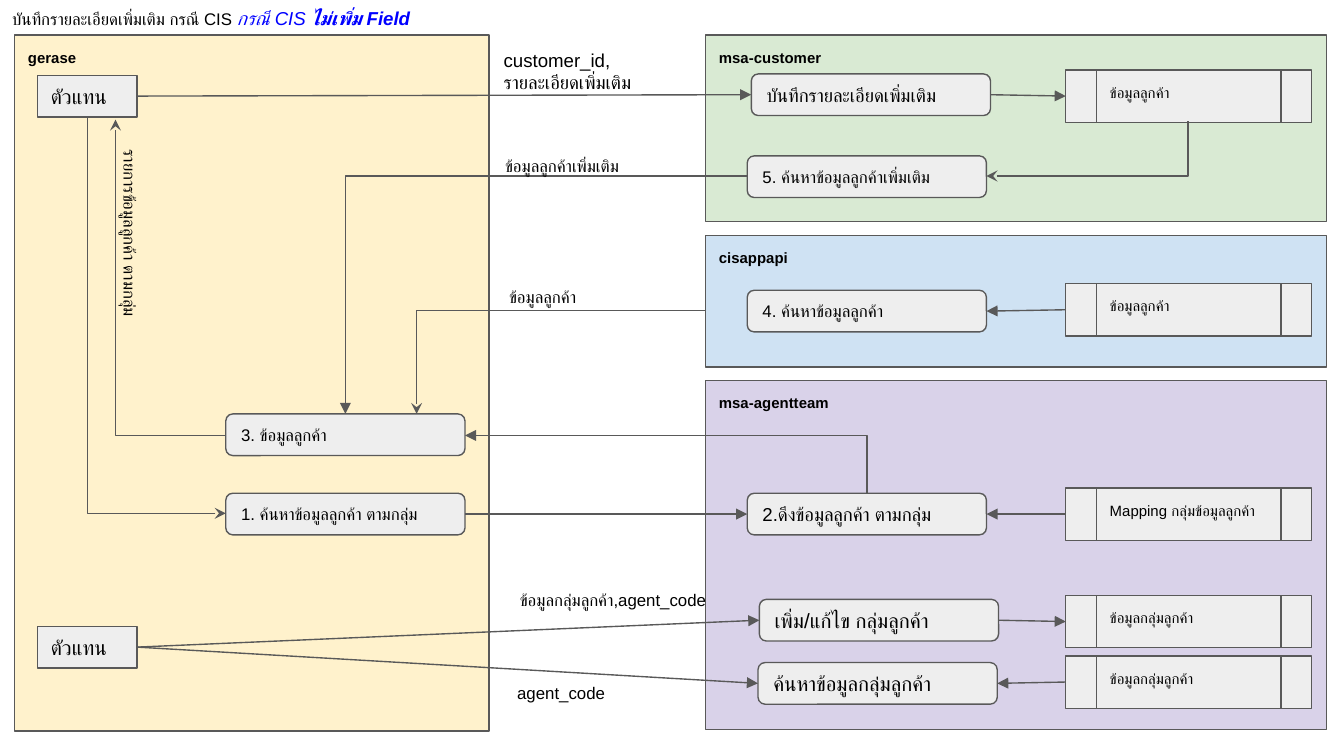
from lxml.etree import SubElement
from pptx import Presentation
from pptx.dml.color import RGBColor
from pptx.enum.shapes import MSO_CONNECTOR as Connector, MSO_SHAPE as Shape
from pptx.enum.text import MSO_ANCHOR as Anchor, MSO_AUTO_SIZE as AutoSize, PP_ALIGN as Align
from pptx.oxml.ns import qn
from pptx.util import Inches, Pt

BLACK = RGBColor(0x00, 0x00, 0x00)
BLUE = RGBColor(0x00, 0x00, 0xFF)
GREY = RGBColor(0xEE, 0xEE, 0xEE)
OUTLINE = RGBColor(0x59, 0x59, 0x59)
YELLOW = RGBColor(0xFF, 0xF2, 0xCC)
GREEN = RGBColor(0xD9, 0xEA, 0xD3)
PURPLE = RGBColor(0xD9, 0xD2, 0xE9)
SKY = RGBColor(0xCF, 0xE2, 0xF3)
FONT = "Arial"
TOP, LEFT, BOTTOM, RIGHT = range(4)

KINDS = {
    "actor": (Shape.FLOWCHART_PROCESS, 0.74, 0.31, Anchor.MIDDLE),
    "step": (Shape.ROUNDED_RECTANGLE, 1.78, 0.31, Anchor.MIDDLE),
    "store": (Shape.FLOWCHART_PREDEFINED_PROCESS, 1.83, 0.39, Anchor.TOP),
}
PANELS = [
    ("gerase", (0.11, 0.26, 3.53, 5.18), YELLOW),
    ("msa-customer", (5.25, 0.26, 4.62, 1.39), GREEN),
    ("msa-agentteam", (5.25, 2.83, 4.62, 2.6), PURPLE),
    ("cisappapi", (5.25, 1.75, 4.62, 0.98), SKY),
]
BOXES = {
    "save agent": ("actor", 0.28, 0.56, "ตัวแทน", 11),
    "group agent": ("actor", 0.28, 4.66, "ตัวแทน", 11),
    "find by group": ("step", 1.68, 3.67, "1. ค้นหาข้อมูลลูกค้า ตามกลุ่ม", 9),
    "fetch by group": ("step", 5.56, 3.67, "2.ดึงข้อมูลลูกค้า ตามกลุ่ม", 10),
    "customer": ("step", 1.68, 3.08, "3. ข้อมูลลูกค้า", 9),
    "find customer": ("step", 5.56, 2.16, "4. ค้นหาข้อมูลลูกค้า", 9),
    "find details": ("step", 5.56, 1.16, "5. ค้นหาข้อมูลลูกค้าเพิ่มเติม", 9),
    "save details": ("step", 5.59, 0.55, "บันทึกรายละเอียดเพิ่มเติม", 10),
    "edit group": ("step", 5.65, 4.46, "เพิ่ม/แก้ไข กลุ่มลูกค้า", 11),
    "find group": ("step", 5.64, 4.93, "ค้นหาข้อมูลกลุ่มลูกค้า", 11),
    "details store": ("store", 7.93, 0.52, "ข้อมูลลูกค้า", 8),
    "customer store": ("store", 7.93, 2.11, "ข้อมูลลูกค้า", 8),
    "mapping store": ("store", 7.93, 3.63, "Mapping กลุ่มข้อมูลลูกค้า", 8),
    "edit store": ("store", 7.93, 4.43, "ข้อมูลกลุ่มลูกค้า", 8),
    "find store": ("store", 7.93, 4.88, "ข้อมูลกลุ่มลูกค้า", 8),
}
FLOWS = [
    ("save agent", "save details"),
    ("save details", "details store"),
    ("customer store", "find customer"),
    ("find by group", "fetch by group"),
    ("mapping store", "fetch by group"),
    ("group agent", "edit group"),
    ("group agent", "find group"),
    ("edit group", "edit store"),
    ("find store", "find group"),
]
CUSTOMER_BEND = (6.08, 2.31, 3.1, 3.08, "tailEnd", "stealth")
BENDS = [
    (1.68, 3.82, 0.65, 0.88, "headEnd", "stealth"),
    (3.46, 3.24, 6.45, 3.67, "headEnd", "triangle"),
    (5.56, 1.31, 2.57, 3.08, "tailEnd", "triangle"),
    (1.68, 3.24, 0.86, 0.89, "tailEnd", "stealth"),
    (7.34, 1.31, 8.84, 0.9, "headEnd", "stealth"),
]
LABELS = [
    (["customer_id,", "รายละเอียดเพิ่มเติม"], (3.65, 0.26, 1.63, 0.49), 10, 0),
    (["ข้อมูลลูกค้าเพิ่มเติม"], (3.66, 1.06, 1.63, 0.41), 9, 0),
    (["ข้อมูลลูกค้า"], (3.69, 2.03, 1.63, 0.41), 9, 0),
    (["ข้อมูลกลุ่มลูกค้า,agent_code"], (3.77, 4.29, 1.63, 0.41), 9, 0),
    (["agent_code"], (3.75, 4.98, 1.63, 0.41), 9, 0),
    (["รายการข้อมูลลูกค้า ตามกลุ่ม"], (0.05, 1.7, 1.78, 0.41), 9, 90),
]
TITLE = [
    ("บันทึกรายละเอียดเพิ่มเติม กรณี CIS ", 9, BLACK, {}),
    ("กรณี CIS ", 10, BLUE, {"italic": True}),
    ("ไม่เพิ่ม Field", 10, BLUE, {"italic": True, "bold": True}),
]


def add_run(paragraph, text, size, color=BLACK, **formats):
    """Append a run with the slide's font for Latin and Thai script."""
    run = paragraph.add_run()
    run.text = text
    for name, value in {"name": FONT, "size": Pt(size), **formats}.items():
        setattr(run.font, name, value)
    run.font.color.rgb = color
    SubElement(run.font._element, qn("a:cs"), typeface=FONT)


def format_frame(frame, anchor=Anchor.TOP):
    """Set wrapping, anchor and equal insets of a text frame."""
    formats = {"word_wrap": True, "auto_size": AutoSize.NONE, "vertical_anchor": anchor}
    for side in ("left", "top", "right", "bottom"):
        formats[f"margin_{side}"] = Inches(0.1)
    for name, value in formats.items():
        setattr(frame, name, value)


def add_title(slide):
    """Place and fill the title placeholder."""
    title = slide.shapes.title
    bounds = {"left": -0.01, "top": -0.05, "width": 3.78, "height": 0.39}
    for name, value in bounds.items():
        setattr(title, name, Inches(value))
    format_frame(title.text_frame)
    paragraph = title.text_frame.paragraphs[0]
    paragraph.alignment = Align.LEFT
    for text, size, color, formats in TITLE:
        add_run(paragraph, text, size, color, **formats)


def add_box(slide, kind, bounds, fill, text, size, anchor=Anchor.TOP, **formats):
    """Add an outlined shape with left-aligned text."""
    shape = slide.shapes.add_shape(kind, *map(Inches, bounds))
    shape.shadow.inherit = False
    shape.fill.solid()
    shape.fill.fore_color.rgb = fill
    shape.line.color.rgb = OUTLINE
    shape.line.width = Pt(0.75)
    format_frame(shape.text_frame, anchor)
    paragraph = shape.text_frame.paragraphs[0]
    paragraph.alignment = Align.LEFT
    add_run(paragraph, text, size, **formats)
    return shape


def add_panel(slide, name, bounds, fill):
    """Add a system panel with its bold name."""
    add_box(slide, Shape.RECTANGLE, bounds, fill, name, 8, bold=True)


def add_node(slide, kind, left, top, text, size):
    """Add an actor, step or store of its standard size."""
    preset, width, height, anchor = KINDS[kind]
    return add_box(slide, preset, (left, top, width, height), GREY, text, size, anchor)


def add_label(slide, lines, bounds, size, rotation):
    """Add a text box with one paragraph per line."""
    label = slide.shapes.add_textbox(*map(Inches, bounds))
    label.rotation = rotation
    frame = label.text_frame
    format_frame(frame)
    for index, line in enumerate(lines):
        paragraph = frame.add_paragraph() if index else frame.paragraphs[0]
        add_run(paragraph, line, size)


def format_arrow(connector, end, head):
    """Style a connector and put an arrowhead on one end."""
    connector.line.color.rgb = OUTLINE
    connector.line.width = Pt(0.75)
    SubElement(connector.line._get_or_add_ln(), qn(f"a:{end}"), type=head)
    SubElement(connector._element.spPr, qn("a:effectLst"))


def add_flow(slide, source, target):
    """Join the facing sides of two nodes with a straight arrow."""
    connector = slide.shapes.add_connector(Connector.STRAIGHT, 0, 0, 0, 0)
    sides = (RIGHT, LEFT) if source.left < target.left else (LEFT, RIGHT)
    connector.begin_connect(source, sides[0])
    connector.end_connect(target, sides[1])
    format_arrow(connector, "tailEnd", "triangle")


def add_bend(slide, x1, y1, x2, y2, end, head):
    """Add an arrow that runs across and then turns once."""
    connector = slide.shapes.add_connector(Connector.ELBOW, *map(Inches, (x1, y1, x2, y2)))
    connector._element.spPr.find(qn("a:prstGeom")).set("prst", "bentConnector2")
    format_arrow(connector, end, head)


def main():
    """Build the customer data flow slide."""
    presentation = Presentation()
    presentation.slide_width = Inches(10)
    presentation.slide_height = Inches(10) * 9 // 16
    slide = presentation.slides.add_slide(presentation.slide_layouts[5])
    add_title(slide)
    for panel in PANELS[:-1]:
        add_panel(slide, *panel)
    add_bend(slide, *CUSTOMER_BEND)
    add_panel(slide, *PANELS[-1])
    nodes = {name: add_node(slide, *node) for name, node in BOXES.items()}
    for source, target in FLOWS:
        add_flow(slide, nodes[source], nodes[target])
    for bend in BENDS:
        add_bend(slide, *bend)
    for label in LABELS:
        add_label(slide, *label)
    presentation.save("out.pptx")


if __name__ == "__main__":
    main()
